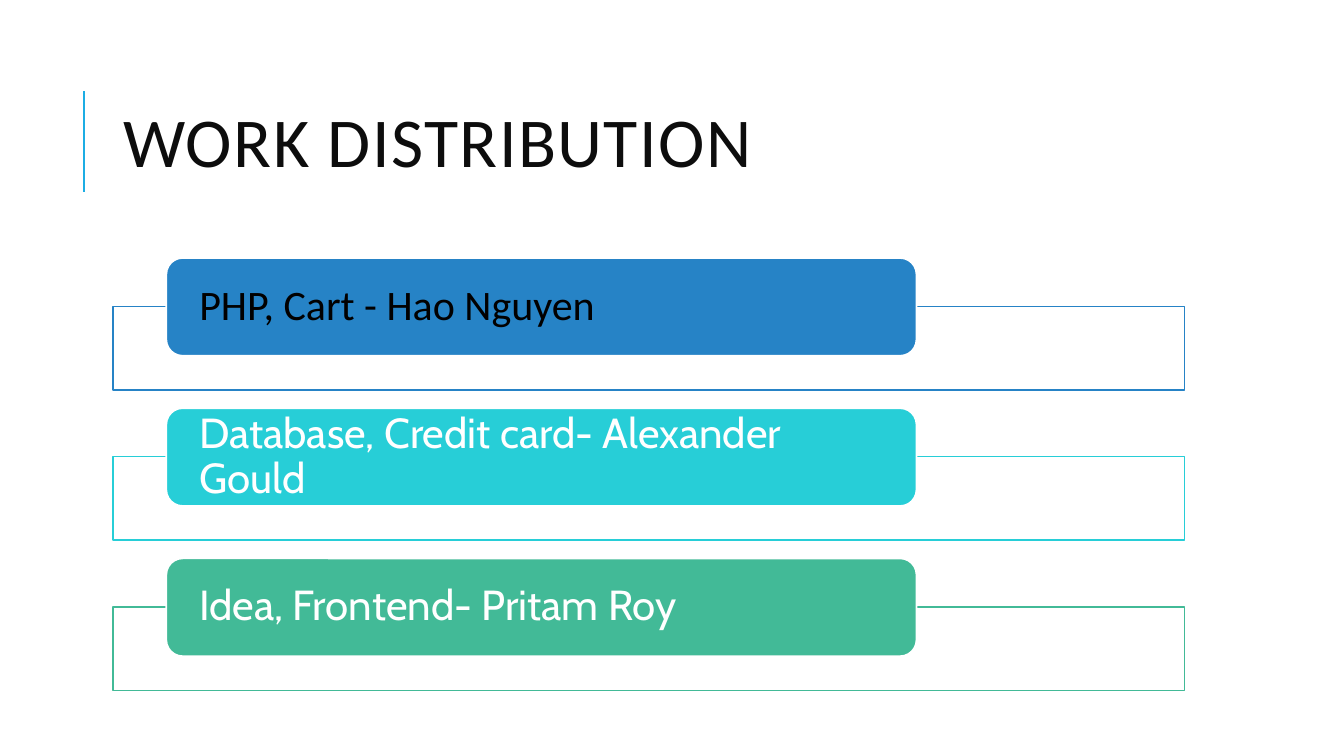
from lxml.etree import SubElement
from pptx import Presentation
from pptx.dml.color import RGBColor
from pptx.enum.shapes import MSO_CONNECTOR, MSO_SHAPE
from pptx.enum.text import MSO_ANCHOR, PP_ALIGN
from pptx.oxml.ns import qn
from pptx.util import Inches, Pt

TITLE = "WORK DISTRIBUTION"
TASKS = [
    ("PHP, Cart - Hao Nguyen", "blue", "black", "Calibri"),
    ("Database, Credit card- Alexander Gould", "cyan", "white", "Cabin"),
    ("Idea, Frontend- Pritam Roy", "green", "white", "Cabin"),
]
COLORS = {
    "accent": "1CADE4",
    "title": "0D0D0D",
    "blue": "2683C6",
    "cyan": "27CED7",
    "green": "42BA97",
    "black": "010000",
    "white": "FFFFFF",
}
LEFT, WIDTH = 1.12, 10.63
FIRST_TOP, ROW_STEP = 2.56, 1.49
FRAME_DROP, FRAME_HEIGHT = 0.48, 0.83
LABEL_LEFT, LABEL_WIDTH, LABEL_HEIGHT = 1.65, 7.44, 0.97


def color(name):
    return RGBColor.from_string(COLORS[name])


def add_box(page, kind, left, top, width, height, fill, line):
    box = page.shapes.add_shape(
        kind, Inches(left), Inches(top), Inches(width), Inches(height))
    box.shadow.inherit = False
    box.fill.solid()
    box.fill.fore_color.rgb = color(fill)
    box.line.color.rgb = color(line)
    box.line.width = Pt(1.25)
    return box


def write(box, text, font, size, ink, spacing):
    frame = box.text_frame
    frame.text = text
    frame.word_wrap = True
    frame.vertical_anchor = MSO_ANCHOR.MIDDLE
    para = frame.paragraphs[0]
    para.alignment = PP_ALIGN.LEFT
    para.line_spacing = spacing
    span = para.runs[0]
    span.font.name = font
    span.font.size = Pt(size)
    span.font.color.rgb = color(ink)
    return span


def add_title(page):
    rule = page.shapes.add_connector(
        MSO_CONNECTOR.STRAIGHT,
        Inches(0.83), Inches(1.9), Inches(0.83), Inches(0.9))
    rule.line.color.rgb = color("accent")
    rule.line.width = Pt(1.5)
    SubElement(rule._element.spPr, qn("a:effectLst"))

    title = page.shapes.title
    title.left, title.top = Inches(LEFT), Inches(0.64)
    title.width, title.height = Inches(WIDTH), Inches(1.64)
    span = write(title, TITLE, "Calibri", 50, "title", 0.8)
    span.font._element.set("spc", "100")


def add_task(page, top, text, accent, ink, font):
    add_box(page, MSO_SHAPE.RECTANGLE, LEFT, top + FRAME_DROP,
            WIDTH, FRAME_HEIGHT, "white", accent)
    label = add_box(page, MSO_SHAPE.ROUNDED_RECTANGLE, LABEL_LEFT, top,
                    LABEL_WIDTH, LABEL_HEIGHT, accent, "white")
    frame = label.text_frame
    frame.margin_left = frame.margin_right = Inches(0.28)
    frame.margin_top = frame.margin_bottom = 0
    write(label, text, font, 30, ink, 0.9)


def main():
    deck = Presentation()
    deck.slide_width, deck.slide_height = Inches(13.33), Inches(7.5)
    page = deck.slides.add_slide(deck.slide_layouts[5])
    add_title(page)
    for row, task in enumerate(TASKS):
        add_task(page, FIRST_TOP + row * ROW_STEP, *task)
    deck.save("out.pptx")


if __name__ == "__main__":
    main()
